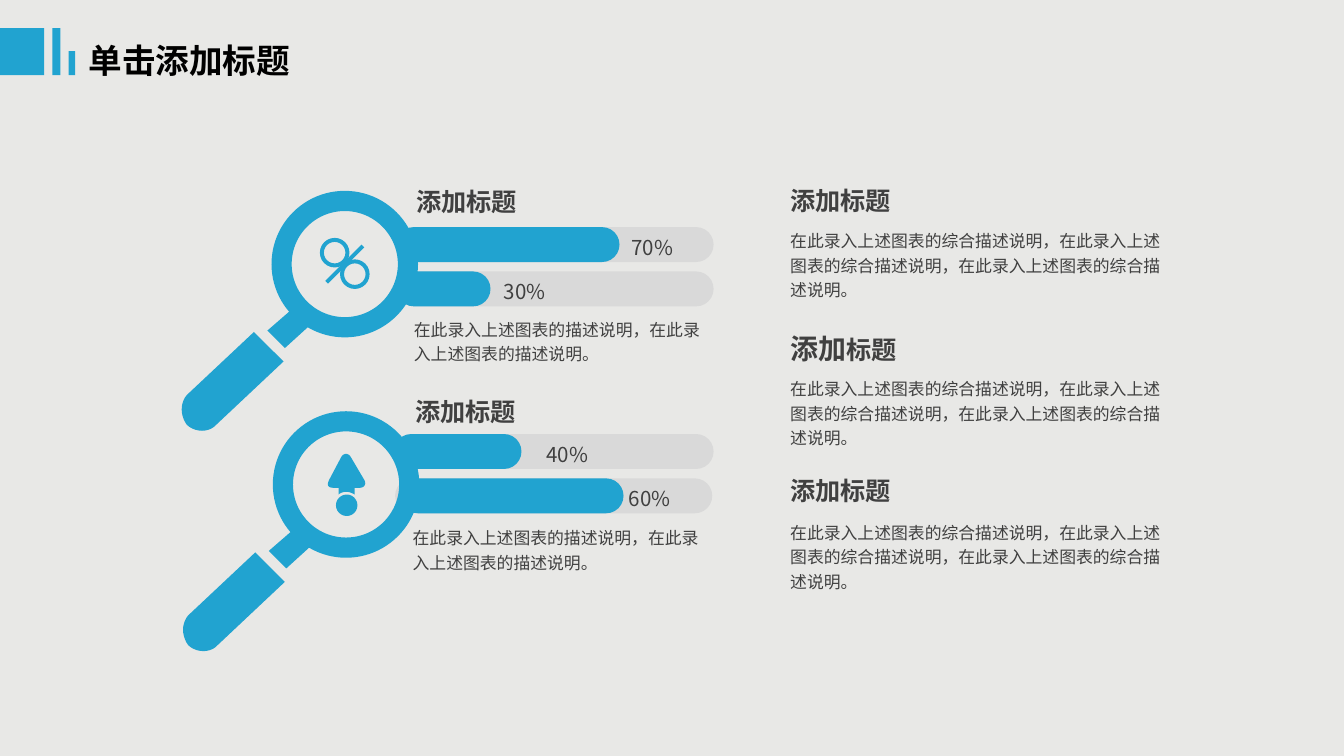
from lxml import etree
from pptx import Presentation
from pptx import util as u
from pptx.dml.color import RGBColor
from pptx.enum import shapes, text
from pptx.oxml.ns import qn

FONT = "Noto Sans CJK SC"
BLUE = RGBColor(0x21, 0xA3, 0xD0)
TRACK = RGBColor(0xD9, 0xD9, 0xD9)
PAPER = RGBColor(0xE8, 0xE8, 0xE6)
GREY = RGBColor(0x40, 0x40, 0x40)
BLACK = RGBColor(0, 0, 0)
KIND = shapes.MSO_SHAPE
TIGHT = (0.07, 0.04)
NORMAL = (0.1, 0.05)

TITLE = "单击添加标题"
HEADING = [("添加标题", 13.5)]
MIXED_HEADING = [("添加", 15), ("标题", 13.5)]
CHART_NOTE = "在此录入上述图表的描述说明，在此录入上述图表的描述说明。"
SUMMARY = "，".join(["在此录入上述图表的综合描述说明"] * 3) + "。"

# left, top, width, height
TITLE_BARS = [(0, 0.21, 0.33, 0.35), (0.39, 0.21, 0.06, 0.35), (0.51, 0.38, 0.05, 0.18)]

# track left, top, fill left, fill width, label, label left, label width
BARS = [
    (2.95, 1.69, 2.95, 1.66, "70%", 4.59, 0.53),
    (2.95, 2.02, 2.95, 0.70, "30%", 3.64, 0.53),
    (2.95, 3.23, 2.93, 0.95, "40%", 3.86, 0.72),
    (2.94, 3.56, 2.98, 1.66, "60%", 4.57, 0.53),
]
TRACK_WIDTH, BAR_HEIGHT = 2.36, 0.26

# heading runs, left, top, width, height; note, left, top, width, height
SECTIONS = [
    (HEADING, (5.81, 1.34, 0.91, 0.30), SUMMARY, (5.81, 1.65, 2.97, 0.62)),
    (MIXED_HEADING, (5.81, 2.43, 0.95, 0.33), SUMMARY, (5.81, 2.75, 2.97, 0.62)),
    (HEADING, (5.81, 3.50, 0.91, 0.30), SUMMARY, (5.81, 3.82, 2.97, 0.62)),
    (HEADING, (3.03, 1.35, 0.91, 0.30), CHART_NOTE, (3.01, 2.31, 2.31, 0.44)),
    (HEADING, (3.02, 2.91, 0.91, 0.30), CHART_NOTE, (3.00, 3.86, 2.31, 0.44)),
]

# Outlines: a pair is a line end, six numbers are a cubic curve.
NECK = [(2.34, 2.39), (2.12, 2.59), (1.99, 2.46), (2.22, 2.26)]
HANDLE = [(1.89, 2.47), (1.39, 2.94), (1.34, 3, 1.34, 3.09, 1.39, 3.16),
          (1.45, 3.22, 1.56, 3.22, 1.61, 3.16), (2.11, 2.69)]
SLASH = [(2.71, 1.84), (2.44, 2.11), (2.42, 2.09), (2.69, 1.82)]
ARROW = [(2.71, 3.57), (2.61, 3.4), (2.59, 3.37, 2.56, 3.37, 2.54, 3.4), (2.45, 3.57),
         (2.43, 3.61, 2.44, 3.63, 2.48, 3.63), (2.52, 3.63), (2.52, 3.68),
         (2.53, 3.67, 2.55, 3.66, 2.58, 3.66), (2.6, 3.66, 2.62, 3.67, 2.64, 3.68),
         (2.64, 3.63), (2.68, 3.63), (2.71, 3.63, 2.73, 3.6, 2.71, 3.57)]
LENS_OFFSETS = [(0, 0), (0.01, 1.64)]
LENS_SIZE, LENS_RIM = 1.09, 0.15
PERCENT_RINGS = [(2.38, 1.77), (2.53, 1.93)]

deck = Presentation()
deck.slide_width, deck.slide_height = u.Inches(10), u.Inches(10 * 9 / 16)
page = deck.slides.add_slide(deck.slide_layouts[6])
page.background.fill.solid()
page.background.fill.fore_color.rgb = PAPER


def paint(shape, color):
    shape.shadow.inherit = False
    shape.fill.solid()
    shape.fill.fore_color.rgb = color
    shape.line.fill.background()


def add_preset(kind, left, top, width, height, color=BLUE, adjust=None):
    shape = page.shapes.add_shape(kind, *map(u.Inches, (left, top, width, height)))
    if adjust is not None:
        shape.adjustments[0] = adjust
    paint(shape, color)


def add_ring(left, top, size, rim):
    add_preset(KIND.DONUT, left, top, size, size, adjust=rim / size)


def flatten(outline, steps=10):
    """Turn lines and cubic curves into a plain list of points."""
    points = [outline[0]]
    for part in outline[1:]:
        if len(part) == 2:
            points.append(part)
            continue
        corners = [points[-1], part[:2], part[2:4], part[4:]]
        for step in range(1, steps + 1):
            t = step / steps
            weights = ((1 - t) ** 3, 3 * t * (1 - t) ** 2, 3 * t * t * (1 - t), t ** 3)
            points.append(tuple(sum(w * c[axis] for w, c in zip(weights, corners))
                                for axis in (0, 1)))
    return points


def add_outline(outline, dx=0, dy=0):
    points = [(u.Inches(x + dx), u.Inches(y + dy)) for x, y in flatten(outline)]
    builder = page.shapes.build_freeform(*points[0])
    builder.add_line_segments(points[1:], close=True)
    paint(builder.convert_to_shape(), BLUE)


def add_text(spans, left, top, width, height, color=GREY, bold=False,
             insets=TIGHT, spacing=None, align=None, wrap=True):
    """Add one paragraph made of (words, size) spans."""
    box = page.shapes.add_textbox(*map(u.Inches, (left, top, width, height)))
    frame = box.text_frame
    frame.word_wrap = wrap
    frame.margin_left = frame.margin_right = u.Inches(insets[0])
    frame.margin_top = frame.margin_bottom = u.Inches(insets[1])
    para = frame.paragraphs[0]
    para.alignment = align
    para.line_spacing = spacing
    for words, size in spans:
        span = para.add_run()
        span.text = words
        span.font.size = u.Pt(size)
        span.font.bold = bold
        span.font.color.rgb = color
        span.font.name = FONT
        etree.SubElement(span.font._element, qn("a:ea"), typeface=FONT)


for place in TITLE_BARS:
    add_preset(KIND.RECTANGLE, *place)
add_text([(TITLE, 18)], 0.56, 0.25, 1.73, 0.4, BLACK, True, NORMAL)

for track_left, top, fill_left, fill_width, label, label_left, label_width in BARS:
    add_preset(KIND.ROUNDED_RECTANGLE, track_left, top, TRACK_WIDTH, BAR_HEIGHT, TRACK, 0.5)
    add_preset(KIND.ROUNDED_RECTANGLE, fill_left, top, fill_width, BAR_HEIGHT, BLUE, 0.5)
    add_text([(label, 11)], label_left, top - 0.03, label_width, 0.3,
             insets=NORMAL, spacing=1.2, align=text.PP_ALIGN.CENTER)

for dx, dy in LENS_OFFSETS:
    add_outline(NECK, dx, dy)
    add_ring(2.02 + dx, 1.42 + dy, LENS_SIZE, LENS_RIM)
    add_outline(HANDLE, dx, dy)

for left, top in PERCENT_RINGS:
    add_ring(left, top, 0.22, 0.03)
add_outline(SLASH)
add_outline(ARROW)
add_preset(KIND.OVAL, 2.5, 3.68, 0.16, 0.16)

for heading, heading_place, note, note_place in SECTIONS:
    add_text(heading, *heading_place, bold=True, wrap=False)
    add_text([(note, 9)], *note_place, spacing=1.2)

deck.save("out.pptx")
